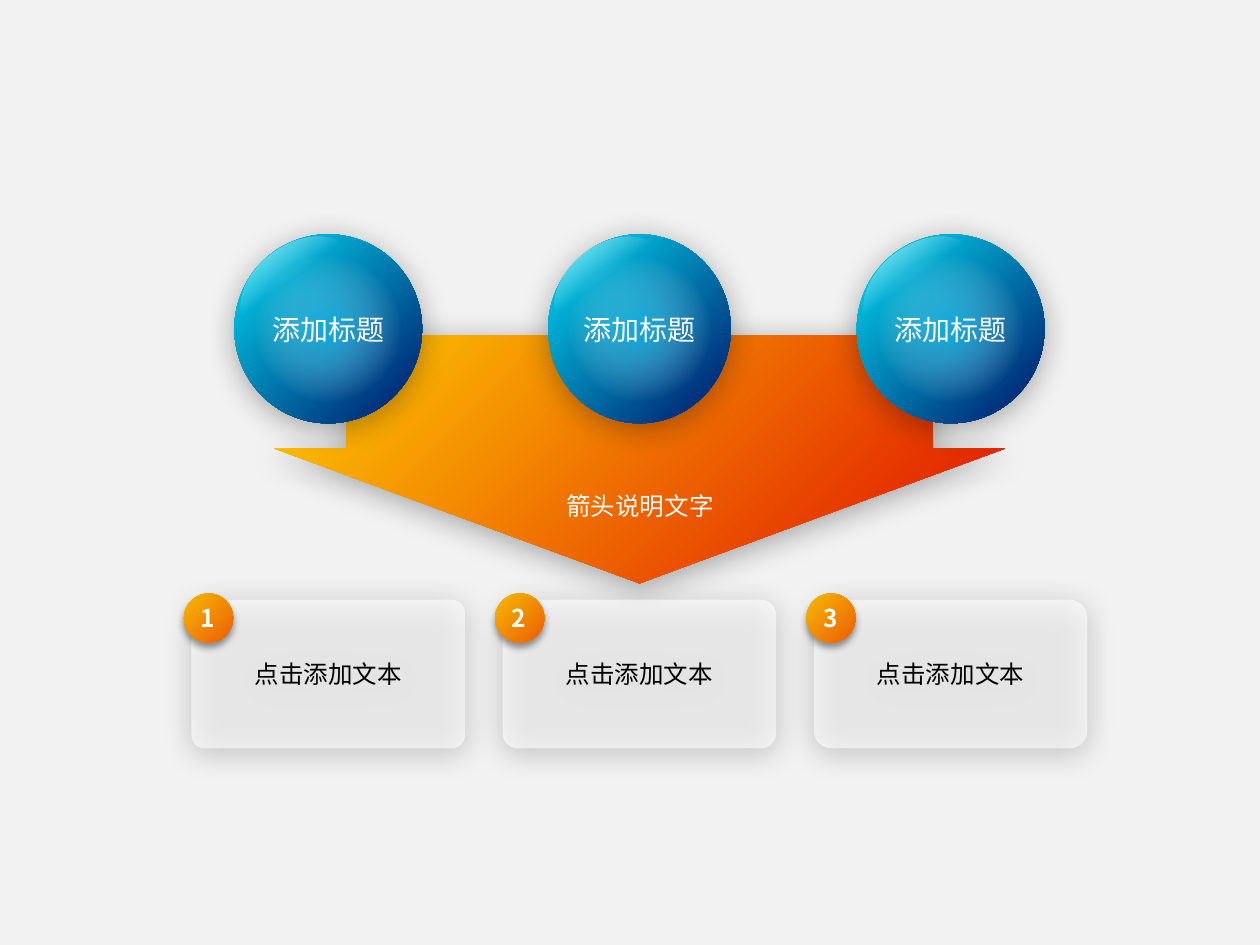
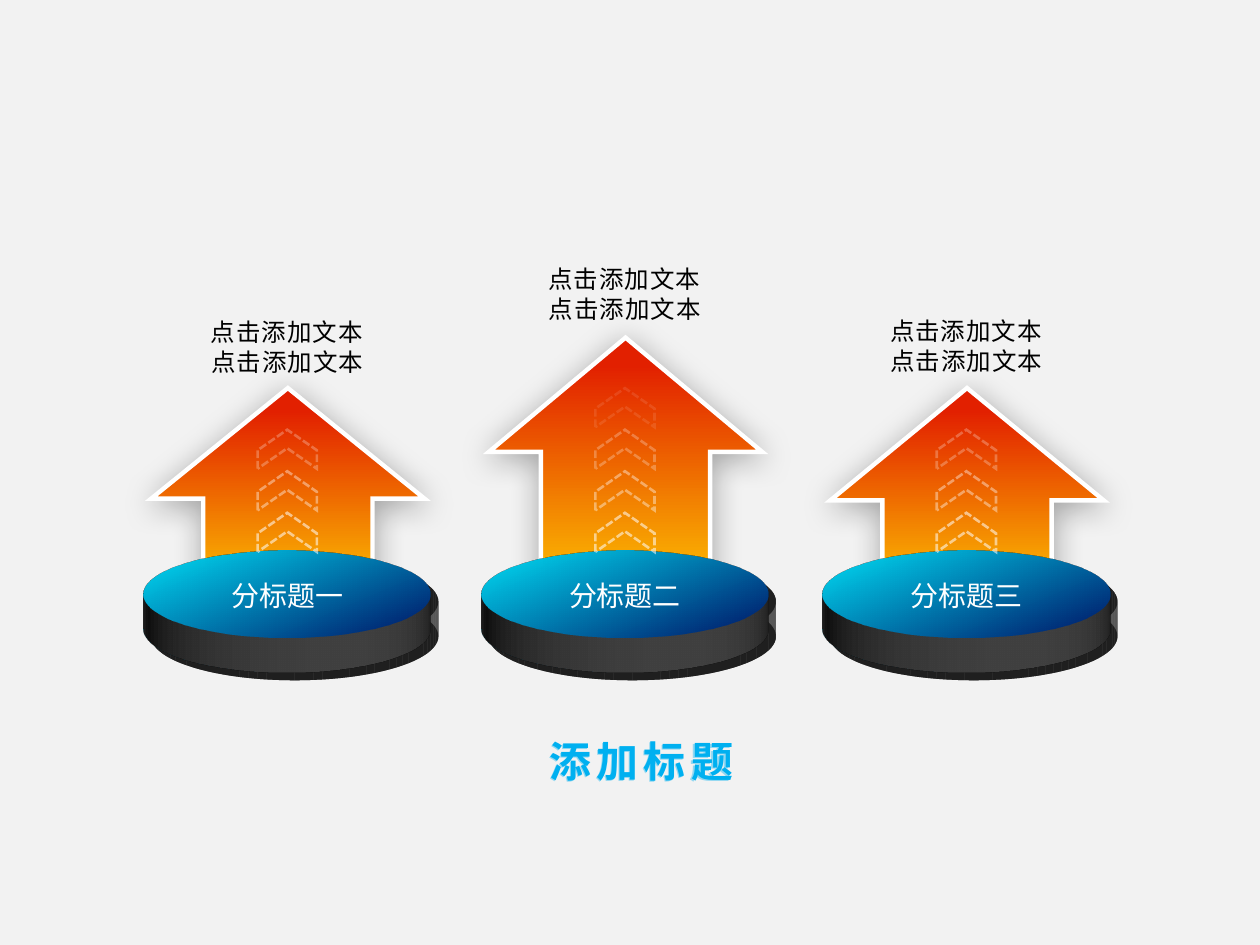
from lxml.etree import SubElement
from pptx import Presentation
from pptx.dml.color import RGBColor
from pptx.enum.dml import MSO_LINE
from pptx.enum.shapes import MSO_SHAPE
from pptx.enum.text import MSO_ANCHOR, MSO_AUTO_SIZE, PP_ALIGN
from pptx.oxml.ns import qn
from pptx.util import Inches, Pt

BACKGROUND = RGBColor(0xF2, 0xF2, 0xF2)
WHITE = RGBColor(0xFF, 0xFF, 0xFF)
BLACK = RGBColor(0, 0, 0)
YELLOW = RGBColor(0xFF, 0xCF, 0x01)
RED = RGBColor(0xE2, 0x20, 0x00)
AMBER = RGBColor(0xF6, 0xBB, 0x00)
ORANGE = RGBColor(0xED, 0x66, 0x01)
CYAN = RGBColor(0x00, 0xDF, 0xF6)
GLOW = RGBColor(0x2D, 0xD7, 0xFF)
NAVY = RGBColor(0x00, 0x27, 0x74)
TITLE_BLUE = RGBColor(0x00, 0xB0, 0xF0)
TITLE_EDGE = RGBColor(0xF9, 0xFC, 0xFC)
DISC_SIDE = RGBColor(0x7F, 0x7F, 0x7F)

CJK_FONT = "Noto Sans CJK SC"
ARROW_STOPS = [(0, YELLOW, 100), (90, RED, 100)]
BADGE_STOPS = [(0, AMBER, 100), (90, ORANGE, 100)]
BLUE_STOPS = [(0, CYAN, 100), (90, NAVY, 100)]
GLOSS_STOPS = [(0, WHITE, 100), (45, WHITE, 0)]
GLOW_STOPS = [(10, GLOW, 50), (70, WHITE, 0)]
TITLE_STOPS = [(10, TITLE_BLUE, 100), (75, NAVY, 100)]
SOFT_SHADOW = (BLACK, 33, 17.8, 3, 87)
BADGE_SHADOW = (BLACK, 40, 4, 3, 90)
DISC_SHADOW = (BLACK, 40, 10, 6, 45)
TITLE_SHADOW = (TITLE_BLUE, 40, 0, 1, 135)


def add_color(parent, color, opacity=100):
    element = SubElement(parent, qn("a:srgbClr"), val=str(color))
    if opacity < 100:
        SubElement(element, qn("a:alpha"), val=str(opacity * 1000))


def set_gradient(fill, properties, stops, angle=None):
    """Fill with percent stops, along an angle or, without one, from the centre."""
    fill.gradient()
    gradient = properties.find(qn("a:gradFill"))
    for child in list(gradient):
        gradient.remove(child)
    stop_list = SubElement(gradient, qn("a:gsLst"))
    for position, color, opacity in stops:
        add_color(SubElement(stop_list, qn("a:gs"), pos=str(position * 1000)), color, opacity)
    if angle is None:
        radial = SubElement(gradient, qn("a:path"), {"path": "circle"})
        SubElement(radial, qn("a:fillToRect"), l="50000", t="50000", r="50000", b="50000")
    else:
        SubElement(gradient, qn("a:lin"), ang=str(angle * 60000), scaled="0")


def set_shadow(shape, color, opacity, blur, distance, direction):
    shape.shadow.inherit = False
    effects = shape._element.spPr.find(qn("a:effectLst"))
    outer = SubElement(effects, qn("a:outerShdw"), blurRad=str(int(Pt(blur))),
                       dist=str(int(Pt(distance))), dir=str(direction * 60000),
                       algn="ctr", rotWithShape="0")
    add_color(outer, color, opacity)


def set_opacity(color_parent, opacity):
    color = color_parent.find(qn("a:solidFill"))[0]
    SubElement(color, qn("a:alpha"), val=str(opacity * 1000))


def set_outline(shape, color, width, dash=None, opacity=100):
    shape.line.color.rgb = color
    shape.line.width = Pt(width)
    if dash is not None:
        shape.line.dash_style = dash
    outline = shape._element.spPr.find(qn("a:ln"))
    if opacity < 100:
        set_opacity(outline, opacity)
    SubElement(outline, qn("a:miter"), lim="800000")


def tilt_and_extrude(shape, tilt, depth, side_color):
    """Lay the shape back by tilt degrees and give it depth in points."""
    properties = shape._element.spPr
    scene = SubElement(properties, qn("a:scene3d"))
    camera = SubElement(scene, qn("a:camera"), prst="orthographicFront")
    SubElement(camera, qn("a:rot"), lat=str((360 - tilt) * 60000), lon="0", rev="0")
    SubElement(scene, qn("a:lightRig"), rig="threePt", dir="t")
    body = SubElement(properties, qn("a:sp3d"), extrusionH=str(int(Pt(depth))))
    add_color(SubElement(body, qn("a:extrusionClr")), side_color)


def add_figure(slide, kind, left, top, width, height, adjustments=(),
               color=None, opacity=100, stops=None, angle=None, shadow=None):
    shape = slide.shapes.add_shape(kind, Inches(left), Inches(top), Inches(width), Inches(height))
    for index, value in enumerate(adjustments):
        shape.adjustments[index] = value
    if stops:
        set_gradient(shape.fill, shape._element.spPr, stops, angle)
    elif color is not None:
        shape.fill.solid()
        shape.fill.fore_color.rgb = color
        set_opacity(shape._element.spPr, opacity)
    else:
        shape.fill.background()
    shape.line.fill.background()
    shape.shadow.inherit = False
    if shadow:
        set_shadow(shape, *shadow)
    return shape


def write_text(shape, text, size=14, color=BLACK, font_name=CJK_FONT, bold=False, spacing=0):
    frame = shape.text_frame
    frame.word_wrap = True
    paragraph = frame.paragraphs[0]
    paragraph.alignment = PP_ALIGN.CENTER
    run = paragraph.add_run()
    run.text = text
    run.font.size = Pt(size)
    run.font.bold = bold
    run.font.color.rgb = color
    run.font.name = font_name
    properties = run._r.get_or_add_rPr()
    SubElement(properties, qn("a:ea"), typeface=CJK_FONT)
    if spacing:
        properties.set("spc", str(int(spacing * 100)))
    return run


def add_label(slide, text, center, top, width, height, **text_format):
    box = slide.shapes.add_textbox(Inches(center - width / 2), Inches(top),
                                   Inches(width), Inches(height))
    box.text_frame.auto_size = MSO_AUTO_SIZE.SHAPE_TO_FIT_TEXT
    return box, write_text(box, text, **text_format)


def add_card(slide, left, corner):
    card = add_figure(slide, MSO_SHAPE.ROUNDED_RECTANGLE, left, 4.76, 2.17, 1.18,
                      [corner], color=WHITE, opacity=60, shadow=SOFT_SHADOW)
    card.text_frame.vertical_anchor = MSO_ANCHOR.MIDDLE
    write_text(card, "点击添加文本")


def add_badge(slide, number, left):
    add_figure(slide, MSO_SHAPE.OVAL, left, 4.71, 0.39, 0.39,
               stops=BADGE_STOPS, angle=45, shadow=BADGE_SHADOW)
    add_label(slide, str(number), left + 0.19, 4.74, 0.36, 0.34, color=WHITE, bold=True)


def add_sphere(slide, center, width):
    left = center - width / 2
    add_figure(slide, MSO_SHAPE.OVAL, left, 1.86, width, 1.5,
               stops=BLUE_STOPS, angle=45, shadow=SOFT_SHADOW)
    gloss = add_figure(slide, MSO_SHAPE.OVAL, left, 1.94, width * 0.68, 0.69,
                       stops=GLOSS_STOPS, angle=90)
    gloss.rotation = 323.1
    add_figure(slide, MSO_SHAPE.OVAL, left + 0.16, 2.02, width - 0.32, 1.18, stops=GLOW_STOPS)
    add_label(slide, "添加标题", center, 2.43, 1.34, 0.37, size=16, color=WHITE)


def add_rising_arrow(slide, center, top, head):
    arrow = add_figure(slide, MSO_SHAPE.UP_ARROW, center - 1.08, top, 2.17, 4.85 - top,
                       [0.619, head], stops=ARROW_STOPS, angle=270, shadow=SOFT_SHADOW)
    set_outline(arrow, WHITE, 2.5)


def add_disc(slide, text, center):
    disc = add_figure(slide, MSO_SHAPE.OVAL, center - 1.14, 3.89, 2.28, 1.65,
                      stops=BLUE_STOPS, angle=45, shadow=DISC_SHADOW)
    set_outline(disc, WHITE, 1)
    tilt_and_extrude(disc, tilt=65, depth=22, side_color=DISC_SIDE)
    add_label(slide, text, center, 4.54, 1.7, 0.37, size=16, color=WHITE)


def add_chevrons(slide, center, count):
    """Stack dashed chevrons that fade upwards."""
    for level in range(count):
        chevron = add_figure(slide, MSO_SHAPE.CHEVRON, center - 0.155, 3.99 - 0.33 * level,
                             0.31, 0.47, [0.525])
        chevron.rotation = 270
        set_outline(chevron, WHITE, 1.5, MSO_LINE.SQUARE_DOT, 55 - 15 * level)


def add_title(slide, text):
    box, run = add_label(slide, text, 5.09, 5.79, 4.9, 0.5, size=24, bold=True, spacing=3)
    set_shadow(box, *TITLE_SHADOW)
    properties = run._r.get_or_add_rPr()
    set_gradient(run.font.fill, properties, TITLE_STOPS, 90)
    outline = SubElement(properties, qn("a:ln"), w=str(int(Pt(1))))
    add_color(SubElement(outline, qn("a:solidFill")), TITLE_EDGE)
    properties.insert(0, outline)


def add_slide(presentation):
    slide = presentation.slides.add_slide(presentation.slide_layouts[6])
    slide.background.fill.solid()
    slide.background.fill.fore_color.rgb = BACKGROUND
    return slide


def build_convergence_slide(presentation):
    slide = add_slide(presentation)
    card_lefts = [1.52 + 2.47 * column for column in range(3)]
    add_figure(slide, MSO_SHAPE.DOWN_ARROW, 2.18, 2.66, 5.79, 1.97, [0.804, 0.542],
               stops=ARROW_STOPS, angle=45, shadow=SOFT_SHADOW)
    add_label(slide, "箭头说明文字", 5.08, 3.85, 2.49, 0.34, color=WHITE, font_name="Arial")
    for left, corner in zip(card_lefts, (0.088, 0.102, 0.119)):
        add_card(slide, left, corner)
    for number, left in enumerate(card_lefts, start=1):
        add_badge(slide, number, left - 0.06)
    for left, width in zip(card_lefts, (1.49, 1.45, 1.49)):
        add_sphere(slide, left + 2.17 / 2, width)


def build_growth_slide(presentation):
    slide = add_slide(presentation)
    pillars = [
        ("分标题一", 2.28, 3.08, 0.496, 3, 2.47),
        ("分标题二", 4.96, 2.68, 0.418, 4, 2.05),
        ("分标题三", 7.67, 3.08, 0.504, 3, 2.46),
    ]
    for subtitle, center, arrow_top, head, chevron_count, caption_top in pillars:
        add_rising_arrow(slide, center, arrow_top, head)
        add_disc(slide, subtitle, center)
        add_chevrons(slide, center, chevron_count)
        add_label(slide, "点击添加文本点击添加文本", center, caption_top, 1.56, 0.57, spacing=0.5)
    add_title(slide, "添加标题")


def main():
    presentation = Presentation()
    presentation.slide_width = Inches(10)
    presentation.slide_height = Inches(7.5)
    build_convergence_slide(presentation)
    build_growth_slide(presentation)
    presentation.save("out.pptx")


if __name__ == "__main__":
    main()
